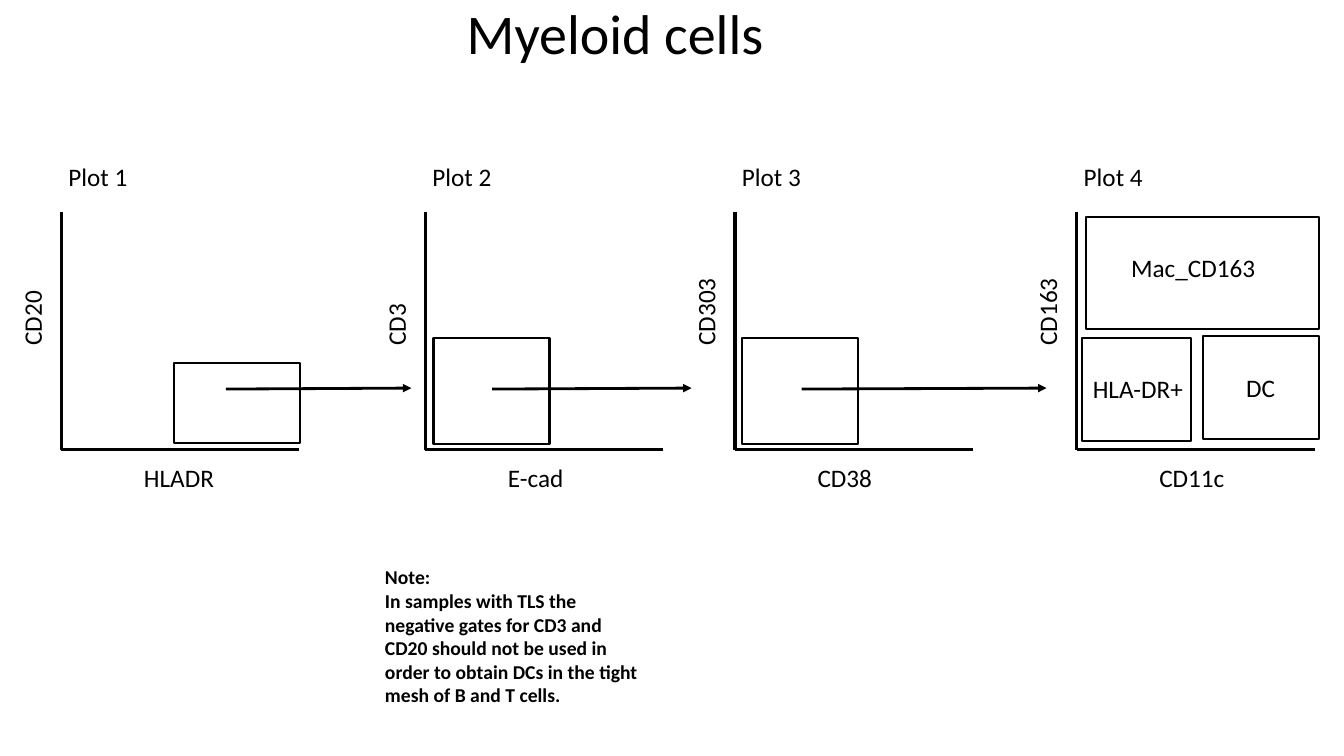
from pptx import Presentation
from pptx.dml.color import RGBColor
from pptx.enum.shapes import MSO_CONNECTOR, MSO_SHAPE
from pptx.enum.text import MSO_ANCHOR, MSO_AUTO_SIZE, PP_ALIGN
from pptx.oxml.ns import qn
from pptx.util import Inches, Pt
from lxml import etree

RECTANGLE = MSO_SHAPE.RECTANGLE
STRAIGHT = MSO_CONNECTOR.STRAIGHT
MIDDLE = MSO_ANCHOR.MIDDLE
GROW = MSO_AUTO_SIZE.SHAPE_TO_FIT_TEXT
NO_FIT = MSO_AUTO_SIZE.NONE
CENTER = PP_ALIGN.CENTER

FONT = "Calibri"
INK = "000000"
TITLE_ONLY = 5
AXIS_TOP, AXIS_LENGTH = 2.1, 2.36
LABEL_HEIGHT = 0.4

# Plot name, axis left, vertical marker, horizontal marker, its label width
PLOTS = [
    ("Plot 1", 0.61, "CD20", "HLADR", 0.9),
    ("Plot 2", 4.22, "CD3", "E-cad", 0.76),
    ("Plot 3", 7.29, "CD303", "CD38", 0.75),
    ("Plot 4", 10.68, "CD163", "CD11c", 0.86),
]
GATES = [
    (1.73, 3.6, 1.25, 0.8),
    (4.3, 3.35, 1.15, 1.06),
    (7.36, 3.35, 1.15, 1.06),
    (10.77, 2.15, 2.31, 1.11),
    (10.73, 3.35, 1.08, 1.03),
    (11.93, 3.33, 1.15, 1.03),
]
POPULATIONS = [
    ("Mac_CD163", 11.12, 2.45, 1.45),
    ("HLA-DR+", 10.74, 3.65, 1.11),
    ("DC", 12.26, 3.64, 0.49),
]
GATING_STEPS = [(2.24, 4.08), (4.88, 6.86), (7.95, 10.38)]
NOTE = [
    "Note:",
    "In samples with TLS the negative gates for CD3 and CD20 should not be "
    "used in order to obtain DCs in the tight mesh of B and T cells.",
]


def color(hex_code):
    """Turn a hex string into a colour."""
    return RGBColor.from_string(hex_code)


def write(frame, lines, size, bold=False):
    """Fill a text frame with one paragraph per line."""
    frame.text = "\n".join(lines)
    style = {"name": FONT, "size": Pt(size), "bold": bold}
    for paragraph in frame.paragraphs:
        for run in paragraph.runs:
            for key, value in style.items():
                setattr(run.font, key, value)
            run.font.color.rgb = color(INK)


def add_title(slide, text):
    """Place and format the title."""
    title = slide.shapes.title
    place = {"left": 3.48, "top": 0.06, "width": 5.24, "height": 0.6}
    for key, value in place.items():
        setattr(title, key, Inches(value))
    frame = title.text_frame
    write(frame, [text], 40)
    layout = {"vertical_anchor": MIDDLE, "auto_size": NO_FIT, "word_wrap": True}
    for key, value in layout.items():
        setattr(frame, key, value)
    frame.paragraphs[0].alignment = CENTER
    frame.paragraphs[0].line_spacing = 0.9


def add_label(slide, lines, box, size=18, bold=False, wrap=False, rotation=0):
    """Add a text box that grows with its text."""
    label = slide.shapes.add_textbox(*map(Inches, box))
    label.rotation = rotation
    write(label.text_frame, lines, size, bold)
    label.text_frame.word_wrap = wrap
    label.text_frame.auto_size = GROW


def add_line(slide, start, end, width, arrow=False):
    """Draw a straight line, with an arrowhead at its end if asked."""
    line = slide.shapes.add_connector(STRAIGHT, *map(Inches, start + end))
    line.line.color.rgb = color(INK)
    line.line.width = Pt(width)
    properties = line._element.spPr
    if arrow:
        etree.SubElement(properties.find(qn("a:ln")), qn("a:tailEnd"), type="triangle")
    etree.SubElement(properties, qn("a:effectLst"))


def add_gate(slide, box):
    """Draw an unfilled gate."""
    gate = slide.shapes.add_shape(RECTANGLE, *map(Inches, box))
    gate.shadow.inherit = False
    gate.fill.background()
    gate.line.color.rgb = color(INK)
    gate.line.width = Pt(1.5)


def add_plot(slide, name, left, vertical, horizontal, width):
    """Draw the axes of a plot with its name and markers."""
    bottom = AXIS_TOP + AXIS_LENGTH
    add_line(slide, (left, AXIS_TOP), (left, bottom), 2.25)
    add_line(slide, (left + AXIS_LENGTH, bottom), (left, bottom), 2.25)
    add_label(slide, [name], (left - 0.03, 1.55, 0.79, LABEL_HEIGHT))
    add_label(slide, [vertical], (left - 0.75, 2.87, 0.91, LABEL_HEIGHT),
              wrap=True, rotation=270)
    add_label(slide, [horizontal], (left + 0.72, 4.54, width, LABEL_HEIGHT))


def main():
    """Build the gating slide."""
    deck = Presentation()
    deck.slide_width = Inches(13.33)
    deck.slide_height = Inches(7.5)
    slide = deck.slides.add_slide(deck.slide_layouts[TITLE_ONLY])
    add_title(slide, "Myeloid cells")
    for plot in PLOTS:
        add_plot(slide, *plot)
    for gate in GATES:
        add_gate(slide, gate)
    for population, left, top, width in POPULATIONS:
        add_label(slide, [population], (left, top, width, LABEL_HEIGHT))
    for start, end in GATING_STEPS:
        add_line(slide, (start, 3.86), (end, 3.85), 2, arrow=True)
    add_label(slide, NOTE, (3.72, 5.56, 2.74, 1.51), size=14, bold=True, wrap=True)
    deck.save("out.pptx")


if __name__ == "__main__":
    main()
